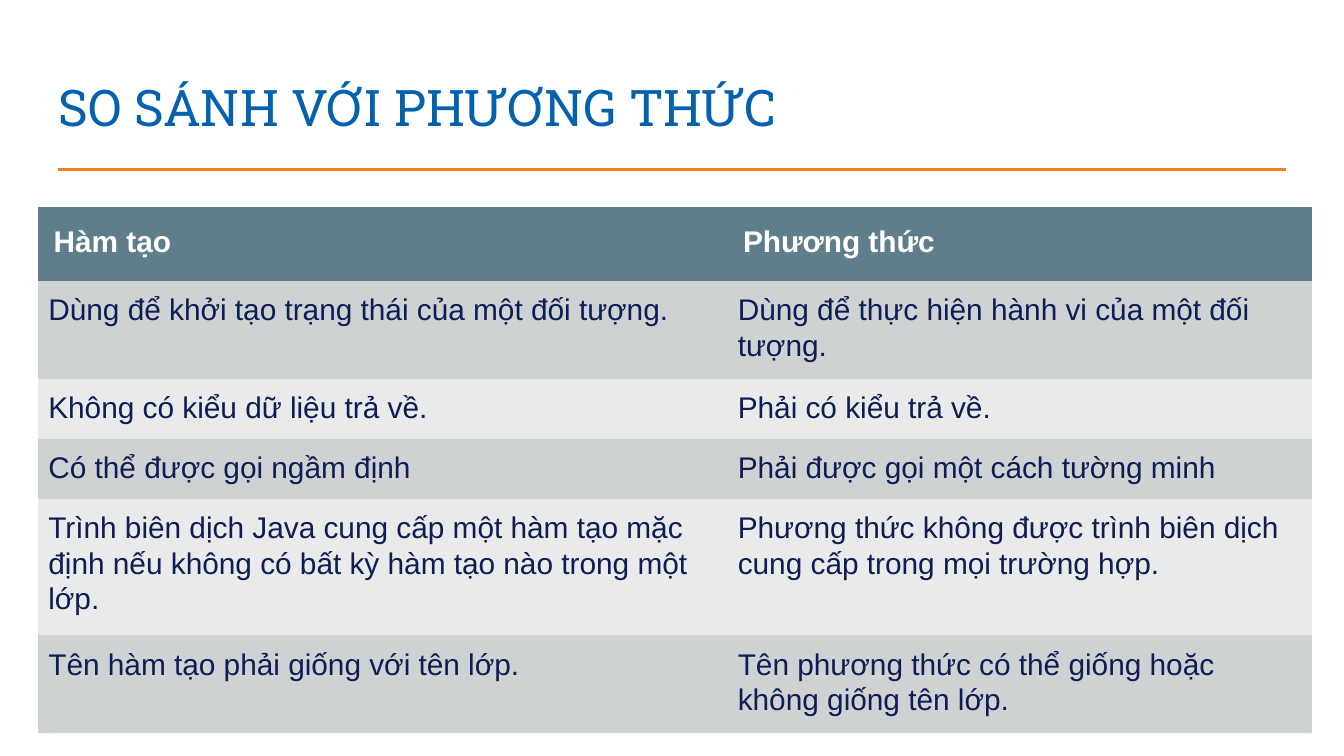
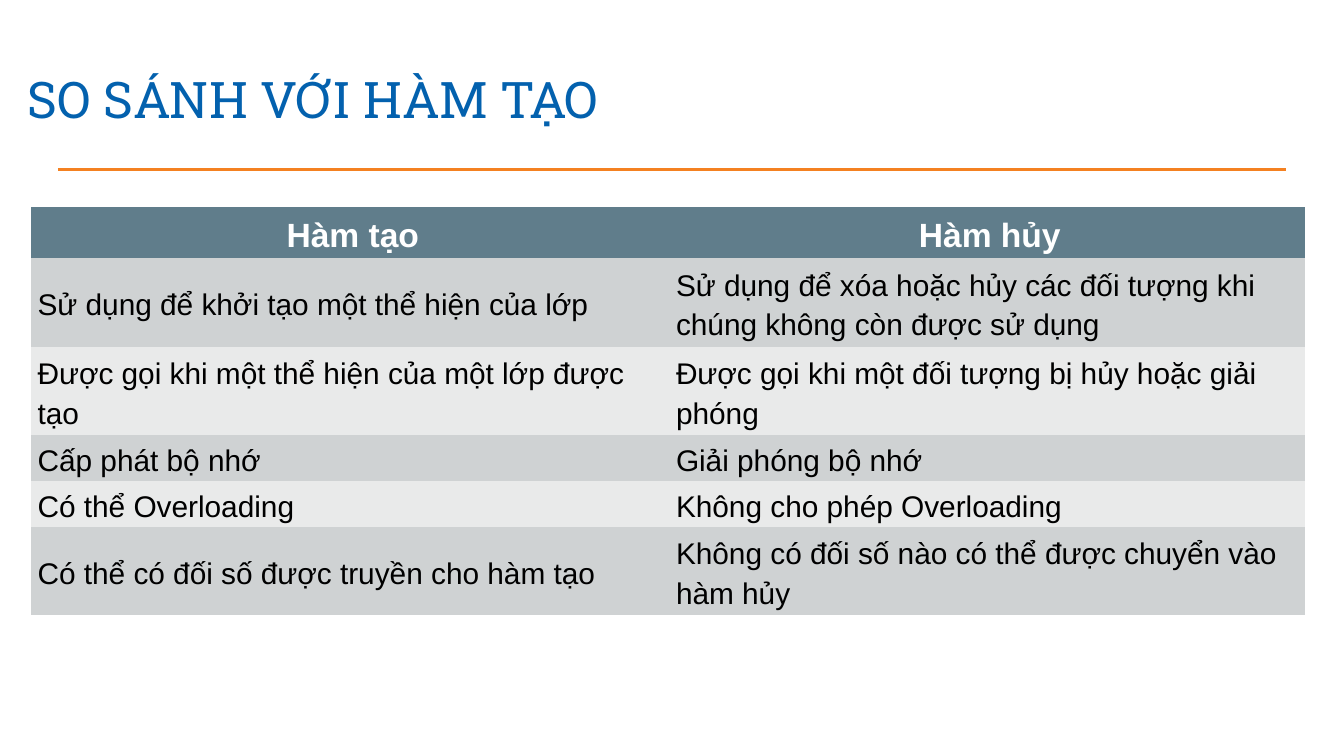
from dataclasses import dataclass

from pptx import Presentation
from pptx.dml.color import RGBColor
from pptx.enum.shapes import MSO_CONNECTOR
from pptx.enum.text import MSO_ANCHOR, PP_ALIGN
from pptx.oxml.ns import qn
from pptx.util import Inches, Pt
from lxml import etree

STRAIGHT = MSO_CONNECTOR.STRAIGHT
TOP, MIDDLE, BOTTOM = MSO_ANCHOR.TOP, MSO_ANCHOR.MIDDLE, MSO_ANCHOR.BOTTOM
LEFT, CENTER = PP_ALIGN.LEFT, PP_ALIGN.CENTER

COLORS = {
    "title": "0361AE",
    "rule": "F48121",
    "header": "607D8B",
    "band_dark": "CFD2D3",
    "band_light": "E9EAEA",
    "white": "FFFFFF",
    "navy": "0E1D54",
    "black": "000000",
}
TITLE_FONT, BODY_FONT = "Roboto Slab", "Arial"
NO_STYLE_NO_GRID = "{2D5ABB26-0587-4C30-8999-92F81FD0307C}"
TABLE_TOP = 1.54
BODY_SIZE, BODY_SPACE_AFTER = 16, 8


@dataclass
class TableLook:
    """Text settings of one table; insets run left, top, right, bottom."""
    text_color: str
    line_spacing: float
    anchor: MSO_ANCHOR
    insets: tuple
    header_insets: tuple
    header_size: int
    header_align: PP_ALIGN
    header_space_after: int


METHOD_LOOK = TableLook("navy", 1.07, TOP, (0.08,) * 4, (0.12,) * 4, 16, LEFT, 8)
DESTRUCTOR_LOOK = TableLook("black", 1.2, MIDDLE, (0.05, 0.01, 0.01, 0.01),
                            (0.05, 0.01, 0.01, 0.01), 18, CENTER, 0)

METHOD_ROWS = [
    ("Hàm tạo", "Phương thức"),
    ("Dùng để khởi tạo trạng thái của một đối tượng.",
     "Dùng để thực hiện hành vi của một đối tượng."),
    ("Không có kiểu dữ liệu trả về.", "Phải có kiểu trả về."),
    ("Có thể được gọi ngầm định", "Phải được gọi một cách tường minh"),
    ("Trình biên dịch Java cung cấp một hàm tạo mặc định nếu không có "
     "bất kỳ hàm tạo nào trong một lớp.",
     "Phương thức không được trình biên dịch cung cấp trong mọi trường hợp."),
    ("Tên hàm tạo phải giống với tên lớp.",
     "Tên phương thức có thể giống hoặc không giống tên lớp."),
]
DESTRUCTOR_ROWS = [
    ("Hàm tạo", "Hàm hủy"),
    ("Sử dụng để khởi tạo một thể hiện của lớp",
     "Sử dụng để xóa hoặc hủy các đối tượng khi chúng không còn được sử dụng"),
    ("Được gọi khi một thể hiện của một lớp được tạo",
     "Được gọi khi một đối tượng bị hủy hoặc giải phóng"),
    ("Cấp phát bộ nhớ", "Giải phóng bộ nhớ"),
    ("Có thể Overloading", "Không cho phép Overloading"),
    ("Có thể có đối số được truyền cho hàm tạo",
     "Không có đối số nào có thể được chuyển vào hàm hủy"),
]


def rgb(name):
    """Return the named colour."""
    return RGBColor.from_string(COLORS[name])


def add_run(p, text, font, size, color, bold=False):
    """Add one formatted run to a paragraph."""
    r = p.add_run()
    r.text = text
    r.font.name, r.font.size, r.font.bold = font, Pt(size), bold
    r.font.color.rgb = rgb(color)


def set_margins(frame, insets):
    """Set the left, top, right and bottom margins of a cell or text frame."""
    sides = ("left", "top", "right", "bottom")
    for side, inset in zip(sides, insets):
        setattr(frame, f"margin_{side}", Inches(inset))


def add_title(s, text, left, top):
    """Add the slide title."""
    tf = s.shapes.add_textbox(Inches(left), Inches(top),
                              Inches(9.32), Inches(0.63)).text_frame
    tf.word_wrap = True
    tf.vertical_anchor = BOTTOM
    set_margins(tf, (0.1,) * 4)
    add_run(tf.paragraphs[0], text, TITLE_FONT, 27, "title")


def add_rule(s):
    """Add the line under the title."""
    line = s.shapes.add_connector(STRAIGHT, Inches(0.43), Inches(1.26),
                                  Inches(9.57), Inches(1.26))
    line.line.color.rgb = rgb("rule")
    line.line.width = Pt(1.5)
    etree.SubElement(line._element.spPr, qn("a:effectLst"))


def fill_cell(cell, text, row, look):
    """Write and format one table cell; row 0 is the header."""
    header = row == 0
    band = "header" if header else "band_dark" if row % 2 else "band_light"
    cell.fill.solid()
    cell.fill.fore_color.rgb = rgb(band)
    cell.vertical_anchor = look.anchor
    set_margins(cell, look.header_insets if header else look.insets)
    p = cell.text_frame.paragraphs[0]
    p.alignment = look.header_align if header else LEFT
    p.line_spacing = look.line_spacing
    p.space_after = Pt(look.header_space_after if header else BODY_SPACE_AFTER)
    add_run(p, text, BODY_FONT, look.header_size if header else BODY_SIZE,
            "white" if header else look.text_color, header)


def add_comparison(s, rows, left, widths, heights, look):
    """Add a two-column comparison table."""
    table = s.shapes.add_table(len(rows), len(widths), Inches(left),
                               Inches(TABLE_TOP), Inches(sum(widths)),
                               Inches(sum(heights))).table
    table._tbl.tblPr.find(qn("a:tableStyleId")).text = NO_STYLE_NO_GRID
    for column, width in zip(table.columns, widths):
        column.width = Inches(width)
    for i, (texts, height) in enumerate(zip(rows, heights)):
        table.rows[i].height = Inches(height)
        for j, text in enumerate(texts):
            fill_cell(table.cell(i, j), text, i, look)


def add_slide(prs, title, left, top):
    """Add a blank slide with the shared rule and title."""
    s = prs.slides.add_slide(prs.slide_layouts[6])
    s.background.fill.solid()
    s.background.fill.fore_color.rgb = rgb("white")
    add_rule(s)
    add_title(s, title, left, top)
    return s


def main():
    """Build the presentation."""
    prs = Presentation()
    prs.slide_width, prs.slide_height = Inches(10), Inches(5.625)

    s = add_slide(prs, "SO SÁNH VỚI PHƯƠNG THỨC", 0.34, 0.49)
    add_comparison(s, METHOD_ROWS, 0.28, (5.13, 4.35),
                   (0.55, 0.69, 0.44, 0.44, 0.94, 0.69), METHOD_LOOK)

    s = add_slide(prs, "SO SÁNH VỚI HÀM TẠO", 0.11, 0.43)
    add_comparison(s, DESTRUCTOR_ROWS, 0.23, (4.75, 4.73),
                   (0.36, 0.65, 0.65, 0.33, 0.33, 0.65), DESTRUCTOR_LOOK)

    prs.save("out.pptx")


main()
